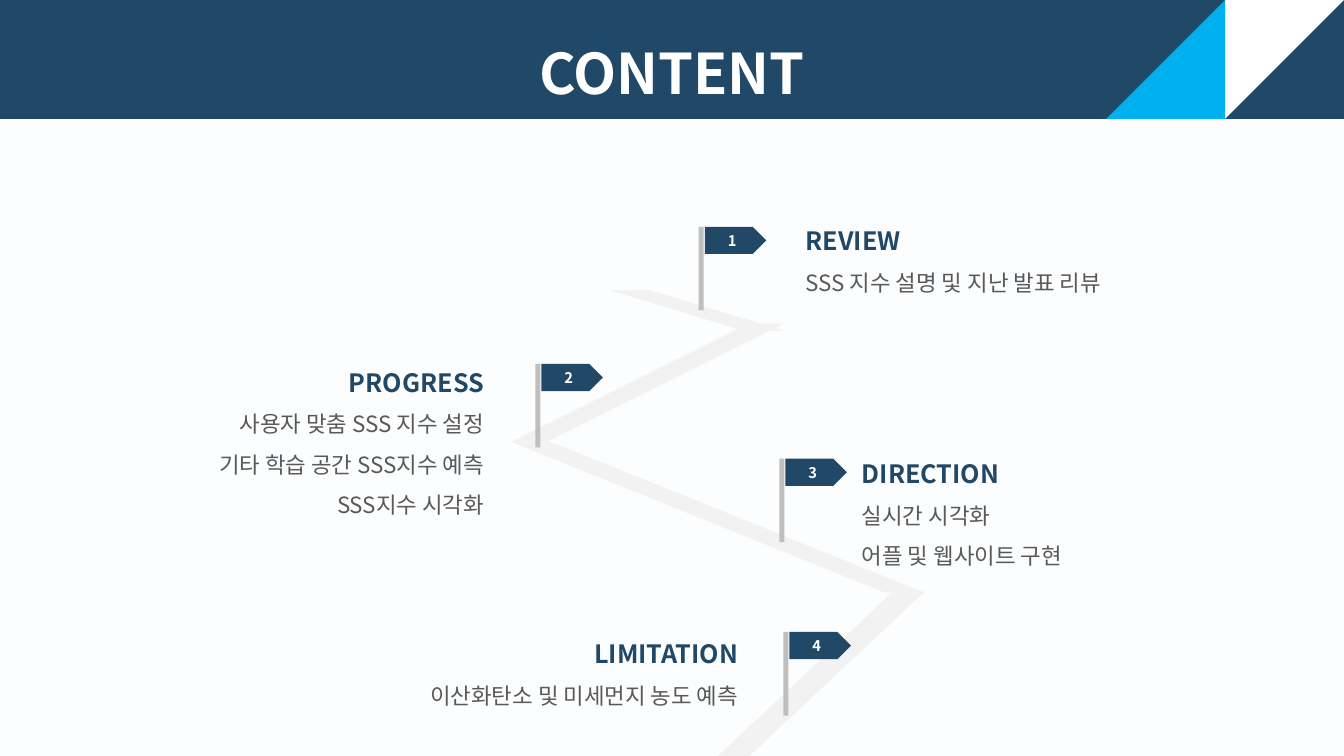
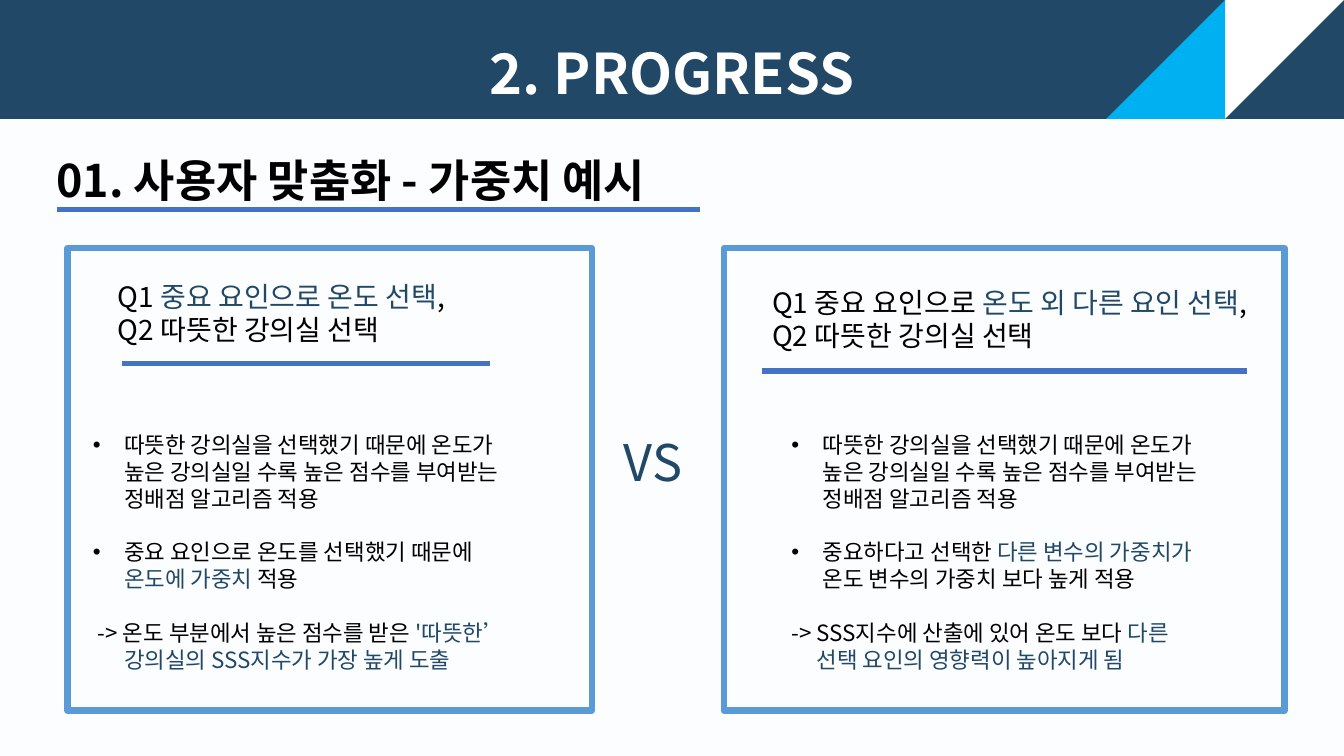
from dataclasses import dataclass

from lxml import etree
from pptx import Presentation
from pptx.dml.color import RGBColor
from pptx.enum.shapes import MSO_CONNECTOR, MSO_SHAPE
from pptx.enum.text import MSO_ANCHOR, MSO_AUTO_SIZE, PP_ALIGN
from pptx.oxml.ns import qn
from pptx.util import Inches, Pt

RECT = MSO_SHAPE.RECTANGLE
WEDGE = MSO_SHAPE.RIGHT_TRIANGLE
SLANT = MSO_SHAPE.PARALLELOGRAM
FLAG = MSO_SHAPE.PENTAGON
STRAIGHT = MSO_CONNECTOR.STRAIGHT
LEFT, CENTER, RIGHT = PP_ALIGN.LEFT, PP_ALIGN.CENTER, PP_ALIGN.RIGHT
TOP, MIDDLE = MSO_ANCHOR.TOP, MSO_ANCHOR.MIDDLE
NO_FIT = MSO_AUTO_SIZE.NONE


@dataclass(frozen=True)
class Theme:
    font: str = "Noto Sans CJK KR"
    # Colours
    page: str = "FCFDFF"
    navy: str = "214867"
    sky: str = "00B0F0"
    white: str = "FFFFFF"
    black: str = "000000"
    gray: str = "595959"
    pole: str = "BFBFBF"
    road: str = "F2F2F2"
    frame: str = "5B9BD5"
    rule: str = "4472C4"
    # Type sizes
    title: float = 40
    versus: float = 36
    head: float = 32
    query: float = 20
    topic: float = 18
    body: float = 16
    badge: float = 10.5


T = Theme()
WIDE, HIGH = 13.33, 7.5
BAND = 1.18


def rgb(code):
    return RGBColor.from_string(code)


def box(left, top, width, height):
    return [Inches(n) for n in (left, top, width, height)]


# Text: parts are strings in the paragraph colour or (string, colour) pairs
def write(frame, parts, size, color=T.black, bold=False, align=LEFT,
          lead=1.0, before=0, left=0, first=0, bullet=None):
    para = frame.paragraphs[0]
    if para.runs:
        para = frame.add_paragraph()
    para.alignment, para.line_spacing = align, lead
    para.space_before, para.space_after = Pt(before), Pt(0)
    props = para._p.get_or_add_pPr()
    props.set("marL", str(Inches(left)))
    props.set("indent", str(Inches(first)))
    if bullet:
        etree.SubElement(props, qn("a:buFont")).set("typeface", "Arial")
        etree.SubElement(props, qn("a:buChar")).set("char", bullet)
    else:
        etree.SubElement(props, qn("a:buNone"))
    font = para.font
    font.size, font.bold, font.name = Pt(size), bold, T.font
    font.color.rgb = rgb(color)
    base = props.find(qn("a:defRPr"))
    etree.SubElement(base, qn("a:ea")).set("typeface", T.font)
    for part in parts:
        run = para.add_run()
        if isinstance(part, str):
            run.text = part
        else:
            run.text = part[0]
            run.font.color.rgb = rgb(part[1])


def set_up(frame, anchor=TOP):
    frame.word_wrap = True
    frame.auto_size = NO_FIT
    frame.vertical_anchor = anchor
    return frame


def add_text(slide, *place):
    return set_up(slide.shapes.add_textbox(*box(*place)).text_frame)


# Shapes and lines
def add_block(slide, kind, place, fill=None, line=None):
    shape = slide.shapes.add_shape(kind, *box(*place))
    shape.shadow.inherit = False
    if fill:
        shape.fill.solid()
        shape.fill.fore_color.rgb = rgb(fill)
    else:
        shape.fill.background()
    if line:
        shape.line.color.rgb = rgb(line)
        shape.line.width = Pt(4.5)
    else:
        shape.line.fill.background()
    return shape


def add_rule(slide, left, right, top):
    line = slide.shapes.add_connector(
        STRAIGHT, Inches(left), Inches(top), Inches(right), Inches(top))
    line.line.color.rgb = rgb(T.rule)
    line.line.width = Pt(3.75)
    etree.SubElement(line._element.spPr, qn("a:effectLst"))


# Title band with its two corner wedges
def add_slide(deck, layout, text):
    slide = deck.slides.add_slide(deck.slide_layouts[layout])
    title = slide.shapes.title
    title.left, title.top, title.width, title.height = box(0, 0, WIDE, BAND)
    title.fill.solid()
    title.fill.fore_color.rgb = rgb(T.navy)
    write(set_up(title.text_frame), [text], T.title, T.white, True,
          CENTER, 1.5)
    for step, turn, fill in ((1, 90, T.white), (2, 270, T.sky)):
        place = (WIDE - step * BAND, 0, BAND, BAND)
        add_block(slide, WEDGE, place, fill).rotation = turn
    return slide


# Road map parts
def add_road(slide, place, slant, flip):
    leg = add_block(slide, SLANT, place, T.road)
    leg.adjustments[0] = slant
    if flip:
        leg._element.spPr.find(qn("a:xfrm")).set("flipH", "1")


def add_flag(slide, number, left, top):
    add_block(slide, RECT, (left, top, 0.05, 0.83), T.pole)
    flag = add_block(slide, FLAG, (left + 0.06, top, 0.61, 0.27), T.navy)
    frame = set_up(flag.text_frame, MIDDLE)
    frame.margin_top = frame.margin_bottom = 0
    write(frame, [str(number)], T.badge, T.white, True, CENTER)


def add_topic(slide, place, align, head, items):
    frame = add_text(slide, *place)
    write(frame, [head], T.topic, T.navy, True, align, 1.5)
    for item in items:
        write(frame, [item], T.body, T.gray, align=align, lead=1.5)


def add_content(deck):
    slide = add_slide(deck, 5, "CONTENT")
    for place, slant, flip in (
            ((7.12, 5.87, 2.05, 1.63), 1.066, False),
            ((5.06, 4.38, 4.11, 1.5), 2.479, True),
            ((5.08, 3.21, 2.7, 1.17), 2.008, False),
            ((6.05, 2.88, 1.72, 0.4), 3.306, True)):
        add_road(slide, place, slant, flip)
    stops = ((6.93, 2.25), (5.31, 3.61), (7.73, 4.55), (7.77, 6.27))
    for number, (left, top) in enumerate(stops, 1):
        add_flag(slide, number, left, top)
    for topic in (
            ((7.89, 2.04, 3.38, 0.92), LEFT, "REVIEW",
             ["SSS 지수 설명 및 지난 발표 리뷰"]),
            ((1.81, 3.44, 3.09, 1.72), RIGHT, "PROGRESS",
             ["사용자 맞춤 SSS 지수 설정", "기타 학습 공간 SSS지수 예측",
              "SSS지수 시각화"]),
            ((8.45, 4.35, 2.87, 1.32), LEFT, "DIRECTION",
             ["실시간 시각화", "어플 및 웹사이트 구현"]),
            ((3.79, 6.13, 3.63, 0.92), RIGHT, "LIMITATION",
             ["이산화탄소 및 미세먼지 농도 예측"])):
        add_topic(slide, *topic)


# Comparison parts
def add_query(slide, place, parts):
    frame = add_text(slide, *place)
    write(frame, parts, T.query)
    write(frame, ["Q2 따뜻한 강의실 선택"], T.query)


def add_case(holder, place, weight, result, first, close, inset):
    holder.left, holder.top, holder.width, holder.height = box(*place)
    frame = set_up(holder.text_frame)
    reason = ["따뜻한 강의실을 선택했기 때문에 온도가 높은 강의실일 수록 "
              "높은 점수를 부여받는 정배점 알고리즘 적용"]
    for parts, gap in ((reason, 0), (weight, 19)):
        write(frame, parts, T.body, before=gap, left=0.31, first=-0.31,
              bullet="•")
    write(frame, result, T.body, before=19, first=first)
    write(frame, [close], T.body, T.navy, left=inset)


def add_progress(deck):
    slide = add_slide(deck, 3, "2. PROGRESS")
    write(add_text(slide, 0.46, 1.47, 7.1, 0.64),
          ["01. 사용자 맞춤화 - 가중치 예시"], T.head, bold=True)
    write(add_text(slide, 6.09, 4.23, 1.03, 0.71), ["VS"], T.versus, T.navy)
    # Questions
    add_query(slide, (1.07, 2.72, 4.86, 0.77),
              ["Q1 ", ("중요 요인으로 온도 선택", T.navy), ","])
    add_query(slide, (7.56, 2.78, 5.46, 0.77),
              ["Q1 중요 요인으로 ", ("온도 외 다른 요인 선택", T.navy), ","])
    # Cases
    add_case(slide.placeholders[1], (0.82, 4.23, 4.32, 2.52),
             ["중요 요인으로 온도를 선택했기 때문에 ",
              ("온도에 가중치 ", T.navy), "적용"],
             ["-> 온도 부분에서 높은 점수를 받은 ", ("'따뜻한’", T.navy)],
             0.05, "강의실의 SSS지수가 가장 높게 도출", 0.31)
    add_case(slide.placeholders[2], (7.75, 4.23, 4.31, 2.52),
             ["중요하다고 선택한 ", ("다른 변수의 가중치가 ", T.navy),
              "온도 변수의 가중치 보다 높게 적용"],
             ["-> SSS지수에 산출에 있어 온도 보다 ", ("다른", T.navy)],
             0, "선택 요인의 영향력이 높아지게 됨", 0.25)
    # Frames and rules
    for left, width in ((0.67, 5.2), (7.18, 5.56)):
        add_block(slide, RECT, (left, 2.46, width, 4.59), line=T.frame)
    for left, right, top in ((0.57, 6.94, 2.08), (1.21, 4.86, 3.61),
                             (7.56, 12.37, 3.68)):
        add_rule(slide, left, right, top)


def main():
    deck = Presentation()
    deck.slide_width, deck.slide_height = Inches(WIDE), Inches(HIGH)
    page = deck.slide_master.background.fill
    page.solid()
    page.fore_color.rgb = rgb(T.page)
    add_content(deck)
    add_progress(deck)
    deck.save("out.pptx")


if __name__ == "__main__":
    main()
